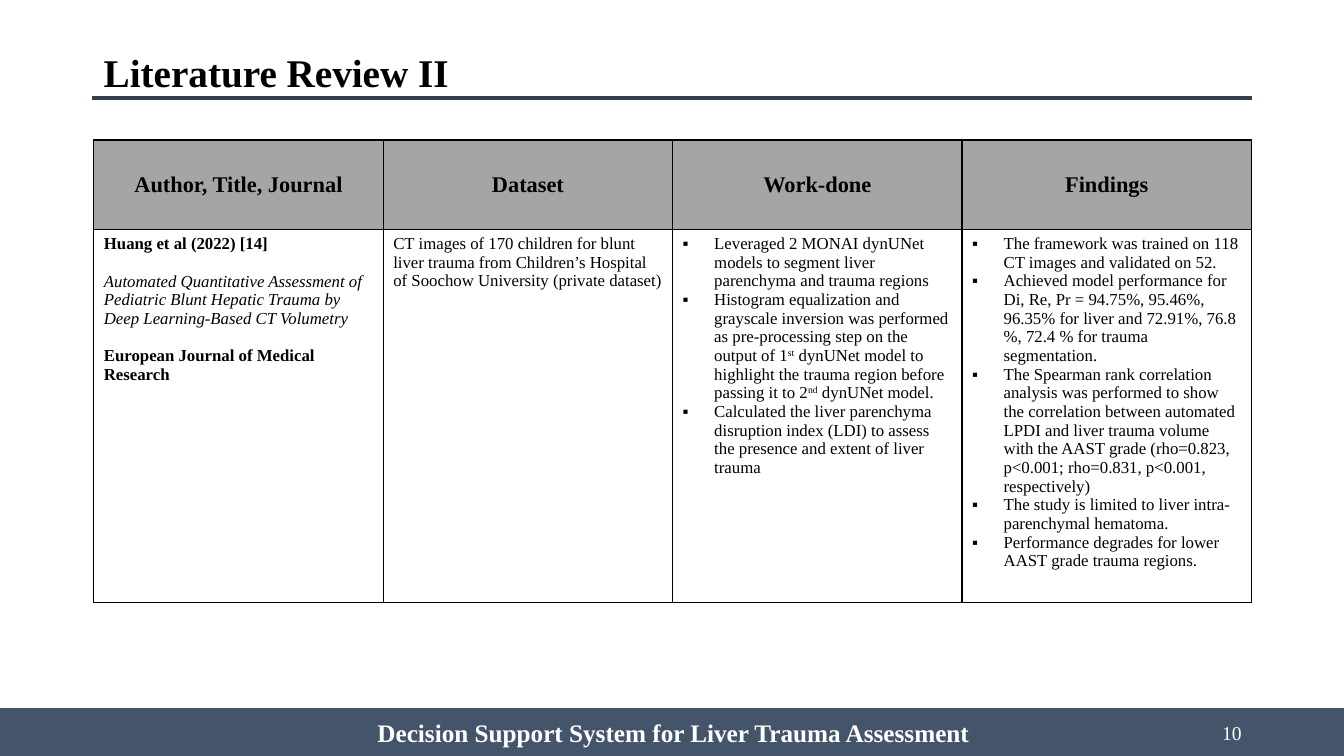
from lxml import etree
from pptx import Presentation
from pptx import util as u
from pptx.dml.color import RGBColor
from pptx.enum import shapes, text
from pptx.oxml import ns

COLORS = {"ink": "000000", "white": "FFFFFF", "rule": "333F50", "footer": "44546A", "header": "A5A5A5"}
FONT = "Times New Roman"
LEFT, CENTER, RIGHT = text.PP_ALIGN.LEFT, text.PP_ALIGN.CENTER, text.PP_ALIGN.RIGHT
TOP, MIDDLE = text.MSO_ANCHOR.TOP, text.MSO_ANCHOR.MIDDLE


def style_paragraph(para, size, color, align=LEFT, bold=False, italic=False):
    para.alignment = align
    for span in para.runs:
        span.font.name = FONT
        span.font.size = u.Pt(size)
        span.font.bold = bold
        span.font.italic = italic
        span.font.color.rgb = RGBColor.from_string(COLORS[color])


def add_label(page, frame, words, size, color, align, anchor, bold):
    box = page.shapes.add_textbox(*[u.Pt(length) for length in frame])
    box.text_frame.word_wrap = True
    box.text_frame.vertical_anchor = anchor
    box.text_frame.text = words
    style_paragraph(box.text_frame.paragraphs[0], size, color, align, bold)


deck = Presentation()
deck.slide_width, deck.slide_height = u.Pt(960), u.Pt(540)
page = deck.slides.add_slide(deck.slide_layouts[6])

rule = page.shapes.add_connector(shapes.MSO_CONNECTOR.STRAIGHT, u.Pt(66), u.Pt(70), u.Pt(894), u.Pt(70))
rule.line.color.rgb = RGBColor.from_string(COLORS["rule"])
rule.line.width = u.Pt(3)
etree.SubElement(rule._element.spPr, ns.qn("a:effectLst"))

footer = page.shapes.add_shape(shapes.MSO_SHAPE.RECTANGLE, 0, u.Pt(506), u.Pt(960), u.Pt(34))
footer.shadow.inherit = False
footer.fill.solid()
footer.fill.fore_color.rgb = RGBColor.from_string(COLORS["footer"])
footer.line.color.rgb = RGBColor.from_string(COLORS["footer"])
footer.line.width = u.Pt(1)

add_label(page, (678, 509, 216, 29), "10", 14, "white", RIGHT, MIDDLE, False)
add_label(page, (67, 31, 264, 41), "Literature Review II", 28, "ink", LEFT, TOP, True)

headings = ["Author, Title, Journal", "Dataset", "Work-done", "Findings"]
study = [
    ("Huang et al (2022) [14]", True, False),
    ("Automated Quantitative Assessment of Pediatric Blunt Hepatic Trauma by "
     "Deep Learning-Based CT Volumetry", False, True),
    ("European Journal of Medical Research", True, False),
]
dataset = ("CT images of 170 children for blunt liver trauma from Children’s Hospital "
           "of Soochow University (private dataset)")
work_done = [
    "Leveraged 2 MONAI dynUNet models to segment liver parenchyma and trauma regions",
    "Histogram equalization and grayscale inversion was performed as pre-processing step on the "
    "output of 1^st^ dynUNet model to highlight the trauma region before passing it to 2^nd^ dynUNet model.",
    "Calculated the liver parenchyma disruption index (LDI) to assess the presence and extent of liver trauma",
]
findings = [
    "The framework was trained on 118 CT images and validated on 52.",
    "Achieved model performance for Di, Re, Pr = 94.75%, 95.46%, 96.35% for liver and 72.91%, 76.8 %, "
    "72.4 % for trauma segmentation.",
    "The Spearman rank correlation analysis was performed to show the correlation between automated LPDI "
    "and liver trauma volume with the AAST grade (rho=0.823, p<0.001; rho=0.831, p<0.001, respectively)",
    "The study is limited to liver intra-parenchymal hematoma.",
    "Performance degrades for lower AAST grade trauma regions.",
]

review = page.shapes.add_table(2, 4, u.Pt(67), u.Pt(100), u.Pt(827), u.Pt(330.5)).table
review.first_row = review.horz_banding = False
review.rows[0].height, review.rows[1].height = u.Pt(64), u.Pt(266.5)
for column in review.columns:
    column.width = u.Pt(206.75)

for cell, heading in zip(review.rows[0].cells, headings):
    cell.text_frame.text = heading
    cell.vertical_anchor = MIDDLE
    style_paragraph(cell.text_frame.paragraphs[0], 16, "ink", CENTER, True)

study_frame = review.cell(1, 0).text_frame
study_frame.text = "\n".join(words for words, bold, italic in study)
for index, (para, (words, bold, italic)) in enumerate(zip(study_frame.paragraphs, study)):
    style_paragraph(para, 12, "ink", LEFT, bold, italic)
    if index:
        para.space_before = u.Pt(13.5)

dataset_frame = review.cell(1, 1).text_frame
dataset_frame.text = dataset
style_paragraph(dataset_frame.paragraphs[0], 12, "ink")

for column, points in ((2, work_done), (3, findings)):
    frame = review.cell(1, column).text_frame
    for index, point in enumerate(points):
        para = frame.add_paragraph() if index else frame.paragraphs[0]
        props = para._p.get_or_add_pPr()
        props.set("marL", str(u.Pt(22.5)))
        props.set("indent", str(-u.Pt(22.5)))
        etree.SubElement(props, ns.qn("a:buFont"), typeface=FONT)
        etree.SubElement(props, ns.qn("a:buChar"), char="▪")
        for part, words in enumerate(point.split("^")):
            span = para.add_run()
            span.text = words
            if part % 2:
                span._r.get_or_add_rPr().set("baseline", "30000")
        style_paragraph(para, 12, "ink")

for row, fill in zip(review.rows, ("header", "white")):
    for cell in row.cells:
        cell.fill.solid()
        cell.fill.fore_color.rgb = RGBColor.from_string(COLORS[fill])
        props = cell._tc.get_or_add_tcPr()
        for index, side in enumerate(("lnL", "lnR", "lnT", "lnB")):
            border = etree.Element(ns.qn("a:" + side), w=str(u.Pt(1)))
            paint = etree.SubElement(border, ns.qn("a:solidFill"))
            etree.SubElement(paint, ns.qn("a:srgbClr"), val=COLORS["ink"])
            props.insert(index, border)

add_label(page, (250, 509, 462, 29), "Decision Support System for Liver Trauma Assessment",
          18, "white", CENTER, MIDDLE, True)

deck.save("out.pptx")
